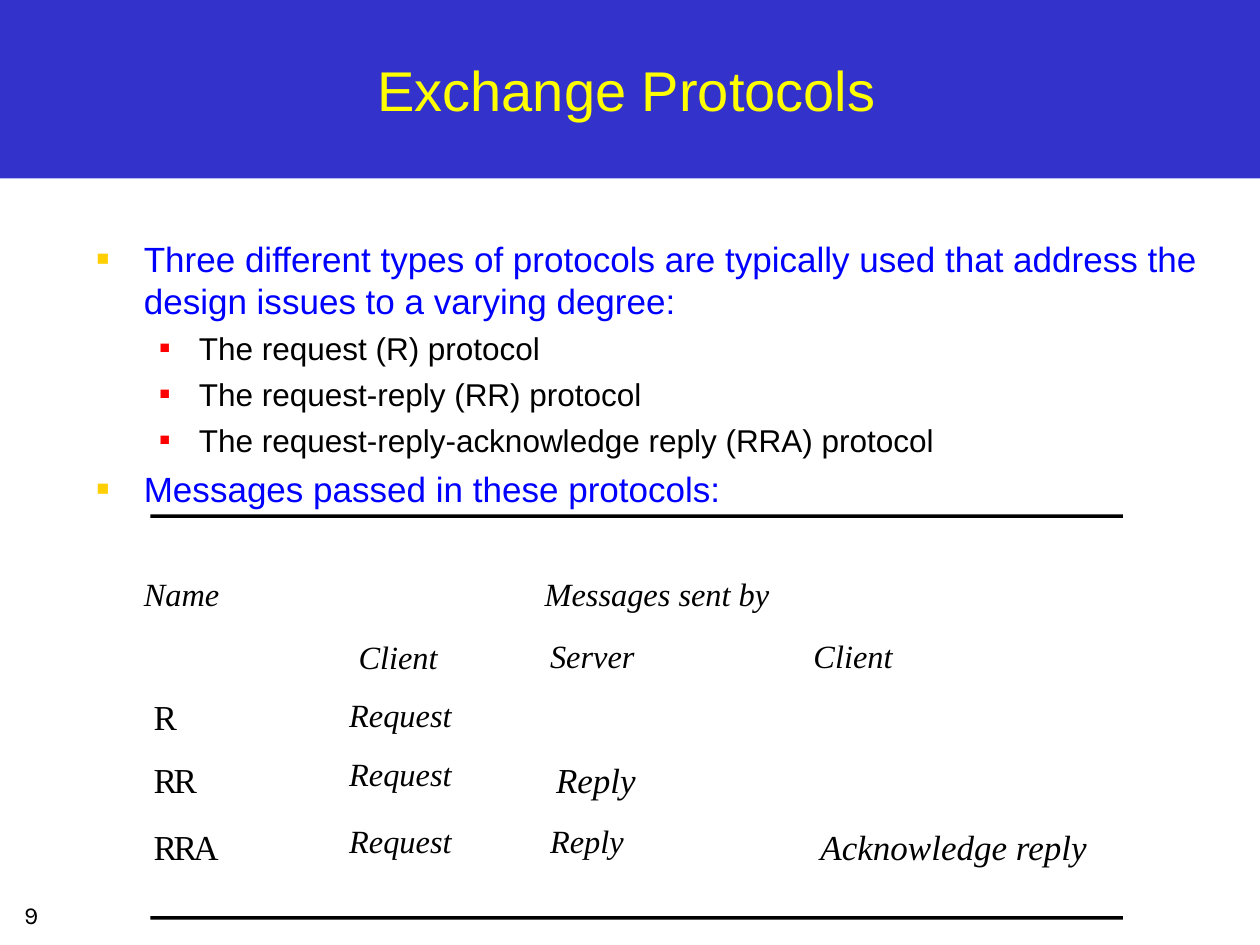
from lxml import etree
from pptx import Presentation
from pptx import util as u
from pptx.dml.color import RGBColor
from pptx.enum import shapes, text
from pptx.oxml.ns import qn

BLACK, BLUE, YELLOW = "000000", "0000FF", "FFFF00"
BAND, GOLD, RED = "3333CC", "FFCF01", "FF0000"
SANS, SERIF, NUMBER_FONT = "Arial", "Times New Roman", "Karla"


def colour(value):
    return RGBColor.from_string(value)


def write(paragraph, content, size=20, font=SANS, color=BLACK, italic=False,
          align=text.PP_ALIGN.LEFT, before=0, line=1.0):
    paragraph.alignment = align
    paragraph.space_before = u.Pt(before)
    paragraph.line_spacing = line
    run = paragraph.add_run()
    run.text = content
    run.font.size = u.Pt(size)
    run.font.name = font
    run.font.italic = italic
    run.font.color.rgb = colour(color)


def add_bullet(paragraph, color, percent, margin, hanging):
    """Put a square bullet before the paragraph; margin and hanging are in cm."""
    properties = paragraph._p.get_or_add_pPr()
    properties.set("marL", str(u.Cm(margin)))
    properties.set("indent", str(-u.Cm(hanging)))
    bullet_color = etree.SubElement(properties, qn("a:buClr"))
    etree.SubElement(bullet_color, qn("a:srgbClr"), val=color)
    etree.SubElement(properties, qn("a:buSzPct"), val=str(percent * 1000))
    etree.SubElement(properties, qn("a:buFont"), typeface=SANS)
    etree.SubElement(properties, qn("a:buChar"), char="■")


class SlideBuilder:
    """Holds the current slide and the styles of its text; lengths are in cm."""

    levels = [
        dict(format=dict(size=20, color=BLUE, before=5),
             bullet=dict(color=GOLD, percent=60, margin=0.95, hanging=0.95)),
        dict(format=dict(size=18, before=4.5),
             bullet=dict(color=RED, percent=55, margin=2.06, hanging=0.79)),
    ]
    heading = dict(size=18.5, font=SERIF, italic=True, line=0.9)
    entry = dict(size=20, font=SERIF)

    def __init__(self, slide):
        self.slide = slide

    def bar(self, left, top, width, height, fill):
        shape = self.slide.shapes.add_shape(
            shapes.MSO_SHAPE.RECTANGLE,
            u.Cm(left), u.Cm(top), u.Cm(width), u.Cm(height))
        shape.shadow.inherit = False
        shape.fill.solid()
        shape.fill.fore_color.rgb = colour(fill)
        shape.line.fill.background()

    def frame(self, left, top, width, height, wrap=True, inset=True):
        """Add an empty text box, which grows if unwrapped; return its frame."""
        frame = self.slide.shapes.add_textbox(
            u.Cm(left), u.Cm(top), u.Cm(width), u.Cm(height)).text_frame
        frame.word_wrap = wrap
        if not wrap:
            frame.auto_size = text.MSO_AUTO_SIZE.SHAPE_TO_FIT_TEXT
        if not inset:
            frame.margin_left = frame.margin_right = 0
            frame.margin_top = frame.margin_bottom = 0
        return frame

    def title(self, content):
        frame = self.frame(0.43, 0.43, 24.41, 2.74)
        frame.vertical_anchor = text.MSO_ANCHOR.MIDDLE
        write(frame.paragraphs[0], content, size=32, color=YELLOW,
              align=text.PP_ALIGN.CENTER)

    def number(self, content):
        frame = self.frame(-0.83, 18.01, 2.92, 0.94, wrap=False)
        write(frame.paragraphs[0], content, size=14, font=NUMBER_FONT,
              align=text.PP_ALIGN.CENTER)

    def outline(self, items):
        frame = self.frame(1.7, 4.66, 23.06, 12.37)
        for index, (level, content) in enumerate(items):
            paragraph = frame.add_paragraph() if index else frame.paragraphs[0]
            paragraph.level = level
            style = self.levels[level]
            write(paragraph, content, **style["format"])
            add_bullet(paragraph, **style["bullet"])

    def label(self, content, left, top, width=2.41):
        frame = self.frame(left, top, width, 0.84, inset=False)
        write(frame.paragraphs[0], content, **self.heading)

    def value(self, content, left, top, width=0.48, italic=False):
        frame = self.frame(left, top, width, 0.84, wrap=False, inset=False)
        write(frame.paragraphs[0], content, italic=italic, **self.entry)

    def protocol(self, name, top):
        """Write the protocol's name with tightly set letters."""
        for index, letter in enumerate(name):
            self.value(letter, 3.1 + 0.4 * index, top, width=0.5)


def main():
    presentation = Presentation()
    presentation.slide_width, presentation.slide_height = u.Cm(25.4), u.Cm(19.05)
    builder = SlideBuilder(
        presentation.slides.add_slide(presentation.slide_layouts[6]))

    builder.bar(0, 0, 25.4, 3.6, BAND)
    builder.number("9")
    builder.title("Exchange Protocols")
    builder.outline([
        (0, "Three different types of protocols are typically used that "
            "address the design issues to a varying degree:"),
        (1, "The request (R) protocol"),
        (1, "The request-reply (RR) protocol"),
        (1, "The request-reply-acknowledge reply (RRA) protocol"),
        (0, "Messages passed in these protocols:"),
    ])

    for top in (10.37, 18.47):
        builder.bar(3.03, top, 19.61, 0.07, BLACK)

    builder.label("Name", 2.9, 11.66)
    builder.label("Messages sent by", 10.98, 11.66, width=6.38)
    builder.label("Client", 7.23, 12.93)
    builder.label("Server", 11.09, 12.91)
    builder.label("Client", 16.4, 12.91)

    for name, name_top, request_top in [
            ("R", 14.02, 14.1), ("RR", 15.29, 15.29), ("RRA", 16.64, 16.64)]:
        builder.protocol(name, name_top)
        builder.label("Request", 7.04, request_top)
    builder.value("Reply", 11.21, 15.29, width=1.7, italic=True)
    builder.label("Reply", 11.09, 16.64, width=2.01)
    builder.value("Acknowledge reply", 16.54, 16.64, width=5.5, italic=True)

    presentation.save("out.pptx")


if __name__ == "__main__":
    main()
